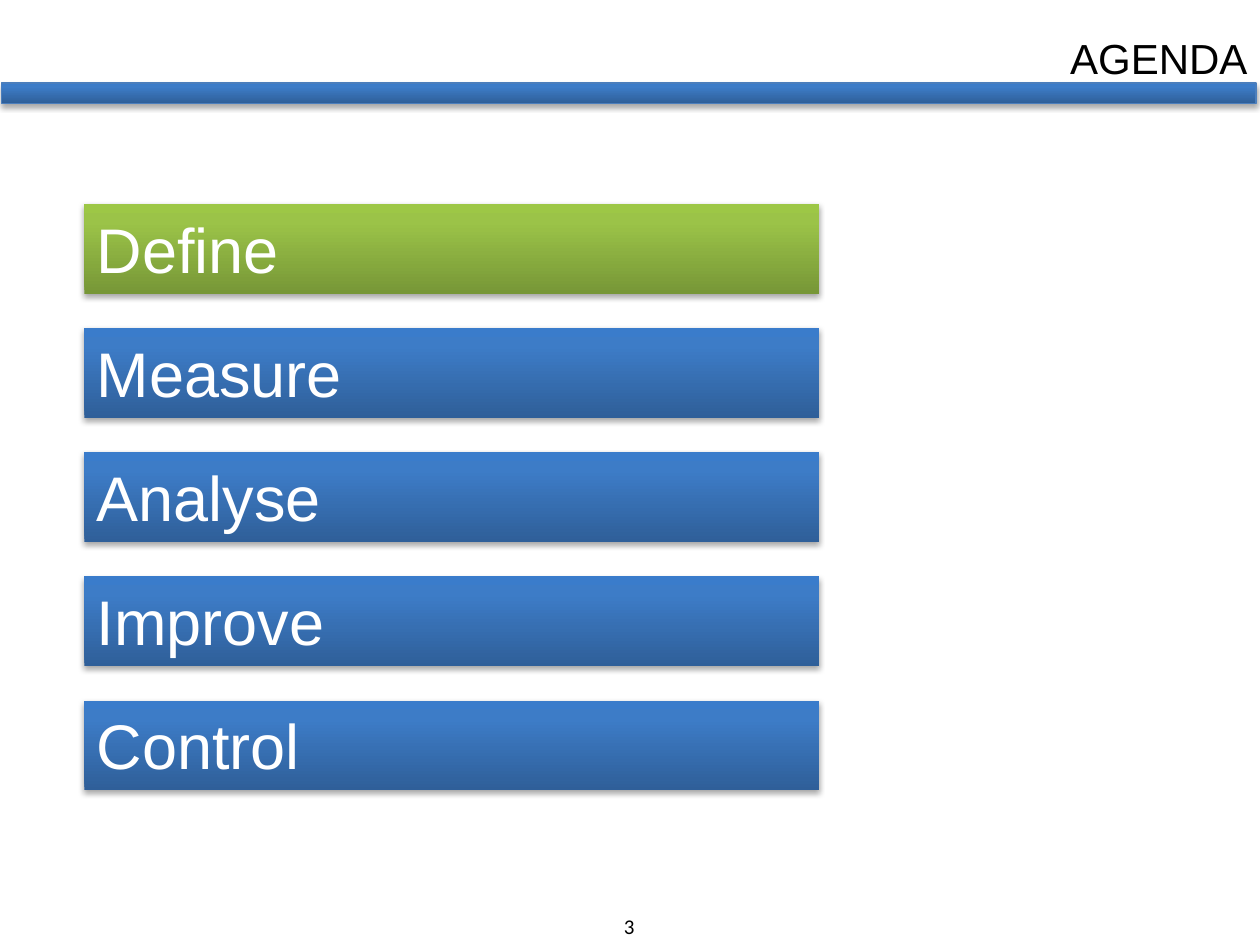
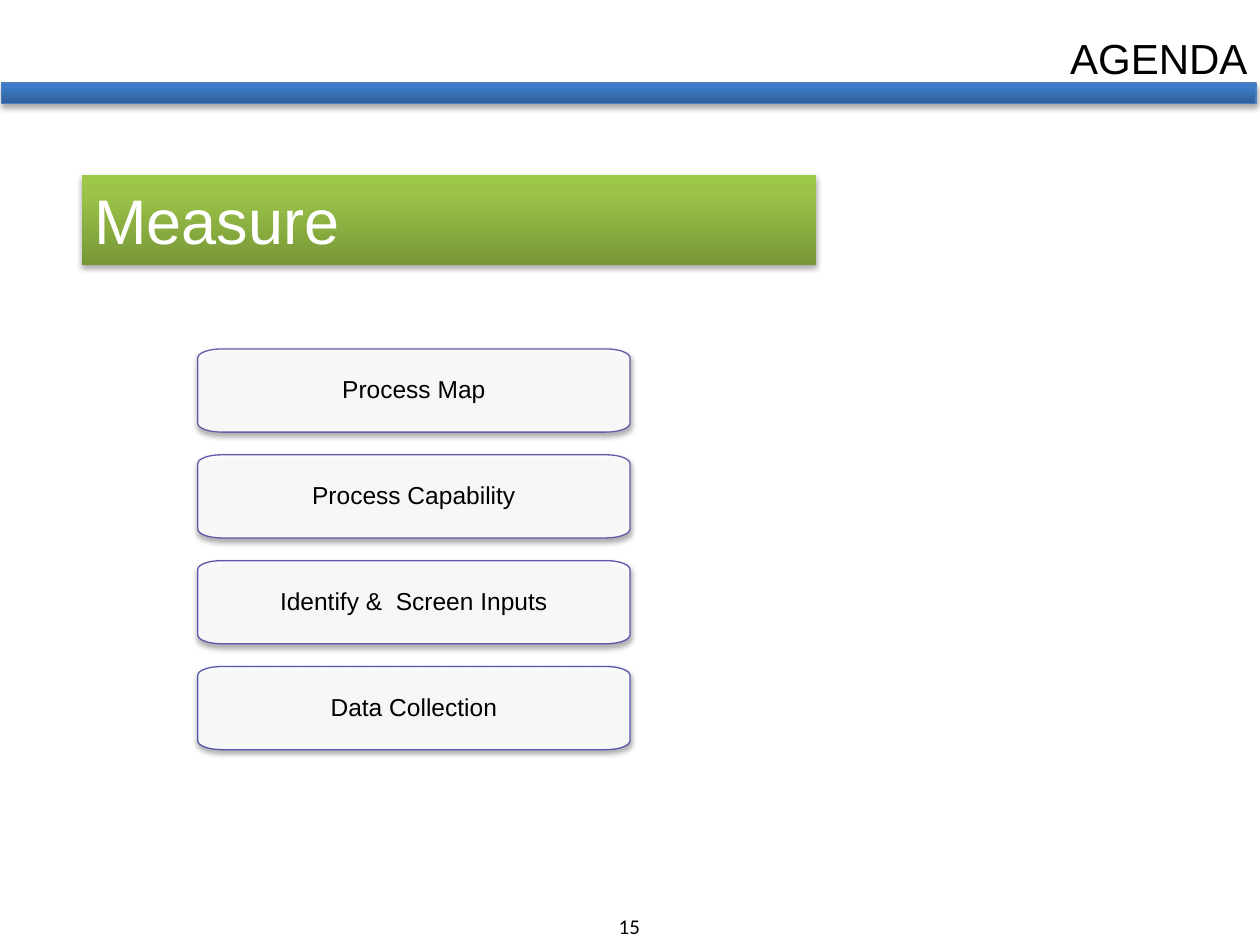
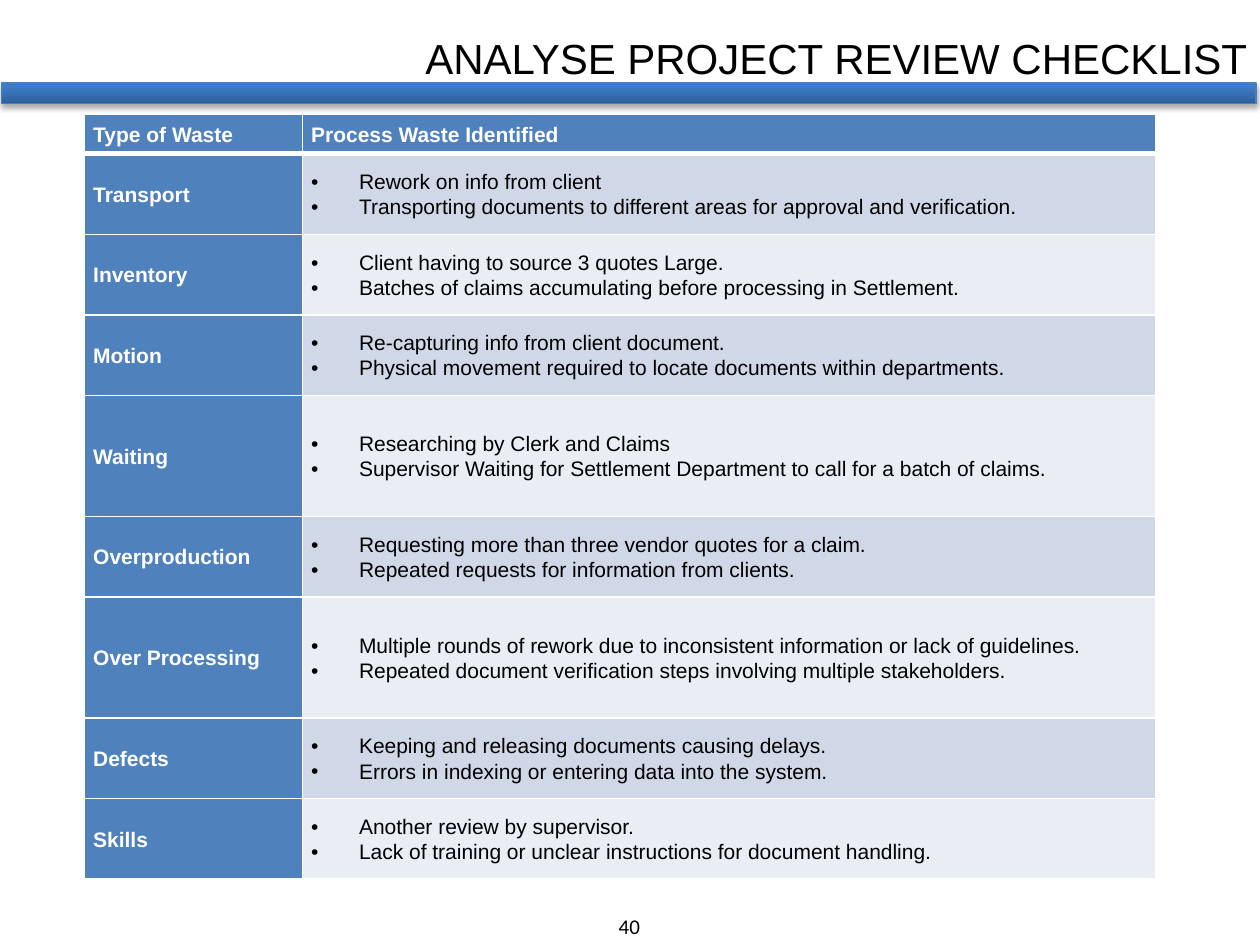
import math
from collections import namedtuple
from copy import deepcopy

from lxml import etree
from pptx import Presentation
from pptx import util as u
from pptx.dml.color import RGBColor
from pptx.enum import shapes, text
from pptx.oxml.ns import qn

# The slide is a grid of 100 columns by 75 rows
WIDTH, HEIGHT = u.Inches(10), u.Inches(7.5)
COLUMN, ROW = WIDTH / 100, HEIGHT / 75
Box = namedtuple("Box", "x y w h")

WHITE = RGBColor(0xFF, 0xFF, 0xFF)
BLACK = RGBColor(0, 0, 0)
BAND_EDGE = RGBColor(0x4B, 0x7E, 0xBC)
HEADING_FILL = RGBColor(0x4F, 0x81, 0xBD)
ROW_FILLS = [RGBColor(0xD0, 0xD8, 0xE8), RGBColor(0xE9, 0xED, 0xF4)]
BLUE = [RGBColor(0x2F, 0x5F, 0x99), RGBColor(0x3D, 0x7C, 0xC7),
        RGBColor(0x3A, 0x7C, 0xCB)]
GREEN = [RGBColor(0x77, 0x97, 0x37), RGBColor(0x9B, 0xC3, 0x48),
         RGBColor(0x9D, 0xC7, 0x46)]
GRADIENT_POSITIONS = [0, 0.8, 1]

PHASES = ["Define", "Measure", "Analyse", "Improve", "Control"]
MEASURE_STEPS = [
    ("Process Map", RGBColor(0x69, 0x5B, 0xA8)),
    ("Process Capability", RGBColor(0x64, 0x59, 0xA9)),
    ("Identify &  Screen Inputs", RGBColor(0x5B, 0x57, 0xAC)),
    ("Data Collection", RGBColor(0x56, 0x57, 0xAE)),
]
WASTE_HEADINGS = ["Type of Waste", "Process Waste Identified"]
# Type of waste, row height, findings
WASTES = [
    ("Transport", 6.4, [
        "Rework on info from client",
        "Transporting documents to different areas for approval and verification."]),
    ("Inventory", 6.4, [
        "Client having to source 3 quotes Large.",
        "Batches of claims accumulating before processing in Settlement."]),
    ("Motion", 6.4, [
        "Re-capturing info from client document.",
        "Physical movement required to locate documents within departments."]),
    ("Waiting", 9.6, [
        "Researching by Clerk and Claims",
        "Supervisor Waiting for Settlement Department to call for a batch of claims."]),
    ("Overproduction", 6.4, [
        "Requesting more than three vendor quotes for a claim.",
        "Repeated requests for information from clients."]),
    ("Over Processing", 9.6, [
        "Multiple rounds of rework due to inconsistent information or lack of guidelines.",
        "Repeated document verification steps involving multiple stakeholders."]),
    ("Defects", 6.4, [
        "Keeping and releasing documents causing delays.",
        "Errors in indexing or entering data into the system."]),
    ("Skills", 6.4, [
        "Another review by supervisor.",
        "Lack of training or unclear instructions for document handling."]),
]


def across(columns):
    return u.Emu(round(columns * COLUMN))


def down(rows):
    return u.Emu(round(rows * ROW))


def place(box):
    return across(box.x), down(box.y), across(box.w), down(box.h)


def style(paragraph, size, color, align=text.PP_ALIGN.LEFT, face="Arial", bold=False):
    paragraph.alignment = align
    font = paragraph.font
    font.name, font.size, font.bold = face, u.Pt(size), bold
    font.color.rgb = color


def add_shadow(shape):
    shape.shadow.inherit = False
    effects = shape._element.spPr.find(qn("a:effectLst"))
    outer = etree.SubElement(effects, qn("a:outerShdw"), blurRad="40000",
                             dist="23000", dir="5400000", rotWithShape="0")
    black = etree.SubElement(outer, qn("a:srgbClr"), val=str(BLACK))
    etree.SubElement(black, qn("a:alpha"), val="35000")


def add_label(slide, box, words, size, align, face="Arial"):
    label = slide.shapes.add_textbox(*place(box))
    frame = label.text_frame
    frame.word_wrap = True
    frame.auto_size = text.MSO_AUTO_SIZE.SHAPE_TO_FIT_TEXT
    frame.text = words
    style(frame.paragraphs[0], size, BLACK, align, face)


def add_gradient_bar(slide, box, colors):
    bar = slide.shapes.add_shape(shapes.MSO_SHAPE.RECTANGLE, *place(box))
    bar.fill.gradient()
    bar.fill.gradient_angle = 90
    stops = bar._element.spPr.find(".//" + qn("a:gsLst"))
    stops.append(deepcopy(stops[0]))
    for stop, position, color in zip(bar.fill.gradient_stops, GRADIENT_POSITIONS, colors):
        stop.position = position
        stop.color.rgb = color
    bar.line.fill.background()
    add_shadow(bar)
    return bar


def add_phase(slide, box, name, colors):
    frame = add_gradient_bar(slide, box, colors).text_frame
    frame.vertical_anchor = text.MSO_ANCHOR.TOP
    frame.auto_size = text.MSO_AUTO_SIZE.SHAPE_TO_FIT_TEXT
    frame.text = name
    style(frame.paragraphs[0], 36, WHITE)


def add_step(slide, box, name, edge):
    # Outline with flattened elliptical corners
    rx, ry, points_per_corner = 1.9, 0.7, 8
    centres = [(box.x + box.w - rx, box.y + box.h - ry), (box.x + rx, box.y + box.h - ry),
               (box.x + rx, box.y + ry), (box.x + box.w - rx, box.y + ry)]
    points = []
    for quarter, (cx, cy) in enumerate(centres):
        for i in range(points_per_corner + 1):
            angle = (quarter + i / points_per_corner) * math.pi / 2
            points.append((across(cx + rx * math.cos(angle)),
                           down(cy + ry * math.sin(angle))))
    builder = slide.shapes.build_freeform(*points[0])
    builder.add_line_segments(points[1:], close=True)
    step = builder.convert_to_shape()

    step.fill.solid()
    step.fill.fore_color.rgb = WHITE
    fill_color = step._element.spPr.find(qn("a:solidFill"))[0]
    etree.SubElement(fill_color, qn("a:alpha"), val="90000")
    step.line.color.rgb = edge
    step.line.width = u.Pt(0.75)
    add_shadow(step)

    frame = step.text_frame
    frame.word_wrap = True
    frame.vertical_anchor = text.MSO_ANCHOR.MIDDLE
    frame.margin_left = frame.margin_right = across(0.5)
    frame.margin_top = frame.margin_bottom = down(0.4)
    frame.text = name
    frame.paragraphs[0].line_spacing = 0.9
    style(frame.paragraphs[0], 14, BLACK, text.PP_ALIGN.CENTER)


def add_base(deck, title, title_box, number):
    slide = deck.slides.add_slide(deck.slide_layouts[6])
    add_label(slide, Box(46.8, 72, 6.3, 3), number, 12, text.PP_ALIGN.CENTER, "Calibri")
    band = add_gradient_bar(slide, Box(0.1, 6.6, 99.6, 1.6), BLUE)
    band.line.color.rgb = BAND_EDGE
    band.line.width = u.Pt(0.75)
    add_label(slide, title_box, title, 24, text.PP_ALIGN.RIGHT)
    return slide


def add_phase_list(slide, box, current):
    pitch = box.h / len(PHASES)
    for i, phase in enumerate(PHASES):
        add_phase(slide, Box(box.x, box.y + i * pitch, box.w, 7.1), phase,
                  GREEN if phase == current else BLUE)


def add_step_list(slide, box):
    pitch = box.h / len(MEASURE_STEPS)
    for i, (name, edge) in enumerate(MEASURE_STEPS):
        add_step(slide, Box(box.x, box.y + i * pitch, box.w, 6.6), name, edge)


def add_bullet(paragraph):
    properties = paragraph._p.get_or_add_pPr()
    properties.set("marL", str(across(3.8)))
    properties.set("indent", str(-across(3.8)))
    etree.SubElement(properties, qn("a:buFont"), typeface="Arial")
    etree.SubElement(properties, qn("a:buChar"), char="•")


def fill_cell(cell, lines, fill, color, bold, bulleted=False, bottom=1):
    # White borders come before the fill
    properties = cell._tc.get_or_add_tcPr()
    for side, width in zip("LRTB", (1, 1, 1, bottom)):
        border = etree.SubElement(properties, qn(f"a:ln{side}"), w=str(u.Pt(width)))
        paint = etree.SubElement(border, qn("a:solidFill"))
        etree.SubElement(paint, qn("a:srgbClr"), val=str(WHITE))
    cell.fill.solid()
    cell.fill.fore_color.rgb = fill

    cell.vertical_anchor = text.MSO_ANCHOR.MIDDLE
    cell.margin_left = cell.margin_right = across(0.7)
    cell.margin_top = cell.margin_bottom = 0
    cell.text = "\n".join(lines)
    paragraphs = cell.text_frame.paragraphs
    for paragraph in paragraphs:
        if bulleted:
            add_bullet(paragraph)
        paragraph.line_spacing = 1.07
        style(paragraph, 12, color, bold=bold)
    paragraphs[-1].space_after = u.Pt(8)


def add_waste_table(slide, box):
    table = slide.shapes.add_table(len(WASTES) + 1, 2, *place(box)).table
    table.horz_banding = False
    kind_width = 17.3
    table.columns[0].width = across(kind_width)
    table.columns[1].width = across(box.w - kind_width)
    table.rows[0].height = down(3.1)
    for cell, heading in zip(table.rows[0].cells, WASTE_HEADINGS):
        fill_cell(cell, [heading], HEADING_FILL, WHITE, True, bottom=3)
    for i, (kind, height, findings) in enumerate(WASTES):
        row = table.rows[i + 1]
        row.height = down(height)
        fill_cell(row.cells[0], [kind], HEADING_FILL, WHITE, True)
        fill_cell(row.cells[1], findings, ROW_FILLS[i % 2], BLACK, False, bulleted=True)


def main():
    deck = Presentation()
    deck.slide_width, deck.slide_height = WIDTH, HEIGHT
    agenda_title = Box(48.4, 2.1, 51.6, 5)

    # Agenda with all phases
    agenda = add_base(deck, "AGENDA", agenda_title, "3")
    add_phase_list(agenda, Box(6.7, 16.2, 58.3, 49.25), "Define")

    # Steps of the Measure phase
    measure = add_base(deck, "AGENDA", agenda_title, "15")
    add_phase(measure, Box(6.5, 13.9, 58.3, 7.1), "Measure", GREEN)
    add_step_list(measure, Box(15.7, 27.7, 34.3, 33.6))

    # Checklist of wastes
    checklist = add_base(deck, "ANALYSE PROJECT REVIEW CHECKLIST",
                         Box(28.7, 2.1, 71.3, 5), "40")
    add_waste_table(checklist, Box(6.7, 9.1, 85, 60.7))

    deck.save("out.pptx")


if __name__ == "__main__":
    main()
